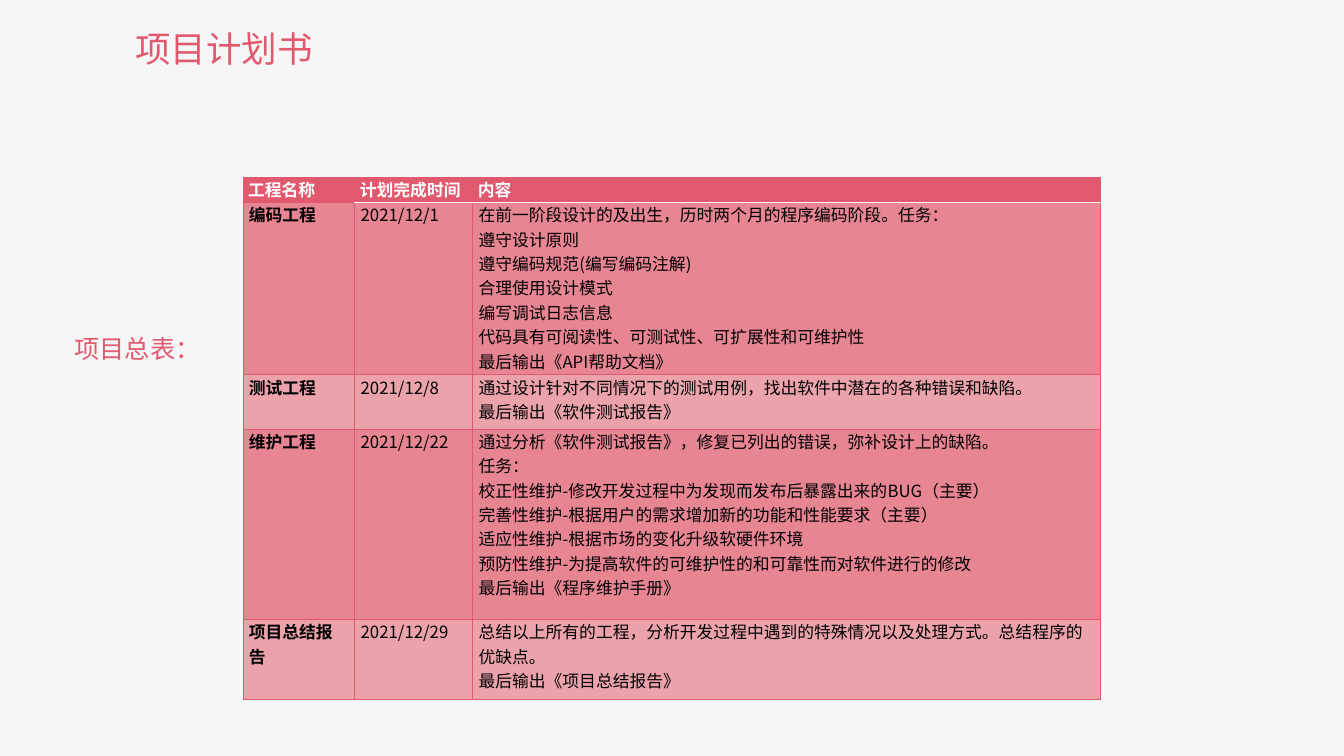
import pptx
import pptx.util
import pptx.dml.color
import pptx.enum.text
import pptx.oxml
import pptx.oxml.ns

Cm = pptx.util.Cm
RGBColor = pptx.dml.color.RGBColor
MIDDLE = pptx.enum.text.MSO_ANCHOR.MIDDLE
ROSE = RGBColor(0xE1, 0x59, 0x6F)
DARK_BAND = RGBColor(0xE8, 0x85, 0x93)
LIGHT_BAND = RGBColor(0xEC, 0xA2, 0xAB)
PAPER = RGBColor(0xF6, 0xF6, 0xF6)
WHITE = RGBColor(0xFF, 0xFF, 0xFF)
BLACK = RGBColor(0, 0, 0)
FONT = "Noto Sans CJK SC"


def write(frame, text, size=12, color=BLACK, bold=False):
    frame.word_wrap = True
    frame.text = text
    for para in frame.paragraphs:
        para.alignment = pptx.enum.text.PP_ALIGN.LEFT
        for span in para.runs:
            span.font.size = pptx.util.Pt(size)
            span.font.bold = bold
            span.font.color.rgb = color
            span.font.name = FONT
            east_asian = pptx.oxml.parse_xml(
                f'<a:ea {pptx.oxml.ns.nsdecls("a")} typeface="{FONT}"/>')
            span.font._element.append(east_asian)


def set_border(cell, side, color, points):
    line = pptx.oxml.parse_xml(
        f'<a:ln{side} {pptx.oxml.ns.nsdecls("a")} w="{pptx.util.Pt(points)}">'
        f'<a:solidFill><a:srgbClr val="{color}"/></a:solidFill></a:ln{side}>')
    cell._tc.get_or_add_tcPr().append(line)


deck = pptx.Presentation()
deck.slide_width = Cm(33.87)
deck.slide_height = Cm(19.05)
page = deck.slides.add_slide(deck.slide_layouts[5])
page.background.fill.solid()
page.background.fill.fore_color.rgb = PAPER

title = page.shapes.title
title.left, title.top, title.width, title.height = Cm(3.15), Cm(0.53), Cm(9.73), Cm(1.35)
title.text_frame.auto_size = pptx.enum.text.MSO_AUTO_SIZE.NONE
title.text_frame.vertical_anchor = MIDDLE
write(title.text_frame, "项目计划书", size=25.4, color=ROSE)

label = page.shapes.add_textbox(Cm(1.63), Cm(8.28), Cm(5.77), Cm(1.02))
label.text_frame.vertical_anchor = MIDDLE
write(label.text_frame, "项目总表：", size=18, color=ROSE)

plan = [
    ("工程名称", "计划完成时间", ["内容"]),
    ("编码工程", "2021/12/1", [
        "在前一阶段设计的及出生，历时两个月的程序编码阶段。任务：",
        "遵守设计原则",
        "遵守编码规范(编写编码注解)",
        "合理使用设计模式",
        "编写调试日志信息",
        "代码具有可阅读性、可测试性、可扩展性和可维护性",
        "最后输出《API帮助文档》"]),
    ("测试工程", "2021/12/8", [
        "通过设计针对不同情况下的测试用例，找出软件中潜在的各种错误和缺陷。",
        "最后输出《软件测试报告》"]),
    ("维护工程", "2021/12/22", [
        "通过分析《软件测试报告》，修复已列出的错误，弥补设计上的缺陷。",
        "任务：",
        "校正性维护-修改开发过程中为发现而发布后暴露出来的BUG（主要）",
        "完善性维护-根据用户的需求增加新的功能和性能要求（主要）",
        "适应性维护-根据市场的变化升级软硬件环境",
        "预防性维护-为提高软件的可维护性的和可靠性而对软件进行的修改",
        "最后输出《程序维护手册》"]),
    ("项目总结报告", "2021/12/29", [
        "总结以上所有的工程，分析开发过程中遇到的特殊情况以及处理方式。总结程序的优缺点。",
        "最后输出《项目总结报告》"]),
]
column_widths = [2.82, 2.97, 15.82]
row_heights = [0.63, 4.34, 1.37, 4.8, 2.01]

table = page.shapes.add_table(
    len(plan), len(column_widths), Cm(6.12), Cm(4.47),
    Cm(sum(column_widths)), Cm(sum(row_heights))).table
for column, width in zip(table.columns, column_widths):
    column.width = Cm(width)

for row_index, (name, date, content) in enumerate(plan):
    table.rows[row_index].height = Cm(row_heights[row_index])
    header = row_index == 0
    band = ROSE if header else DARK_BAND if row_index % 2 else LIGHT_BAND
    for column_index, text in enumerate([name, date, "\n".join(content)]):
        cell = table.cell(row_index, column_index)
        cell.margin_left = cell.margin_right = Cm(0.13 if header else 0.15)
        cell.margin_top = cell.margin_bottom = 0
        write(cell.text_frame, text, color=WHITE if header else BLACK,
              bold=header or column_index == 0)
        for side in "LRTB":
            under_header = (row_index, side) in [(0, "B"), (1, "T")]
            if under_header and column_index > 0:
                set_border(cell, side, WHITE, 1)
            else:
                set_border(cell, side, ROSE, 0.5)
        cell.fill.solid()
        cell.fill.fore_color.rgb = band

deck.save("out.pptx")
